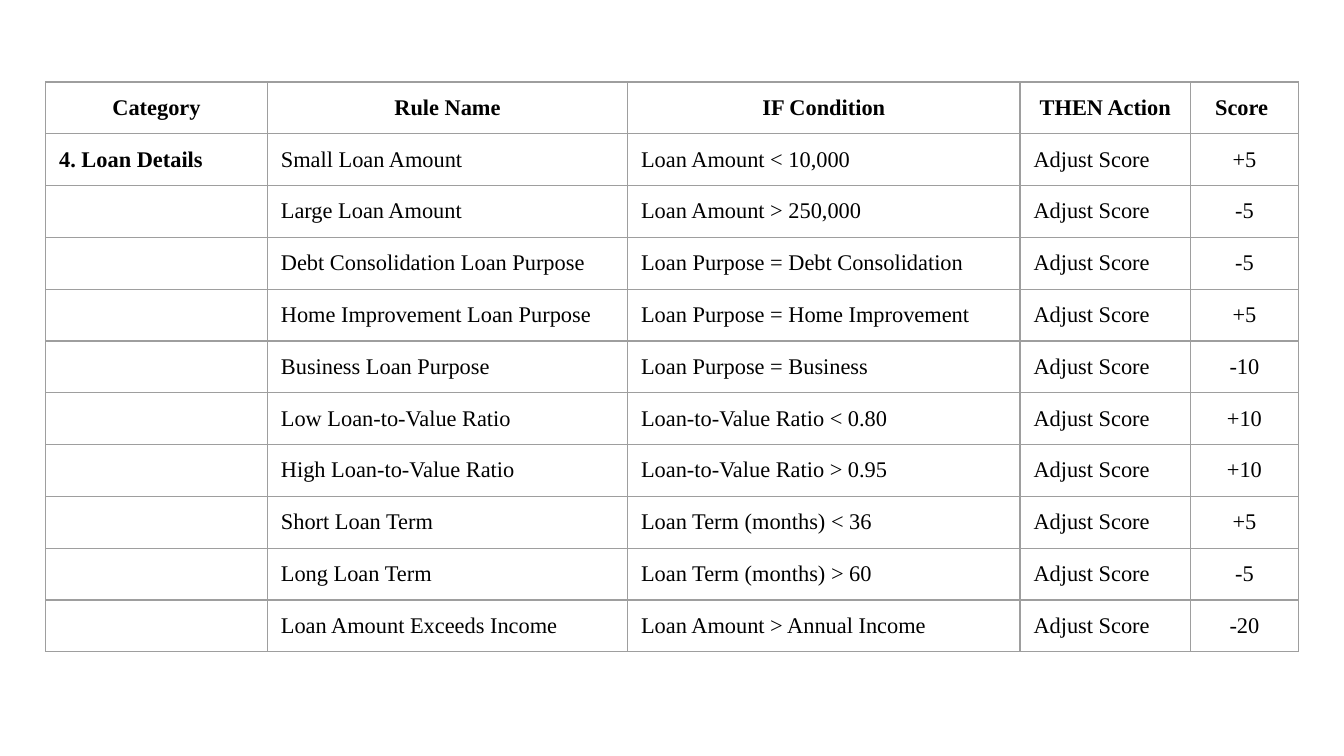
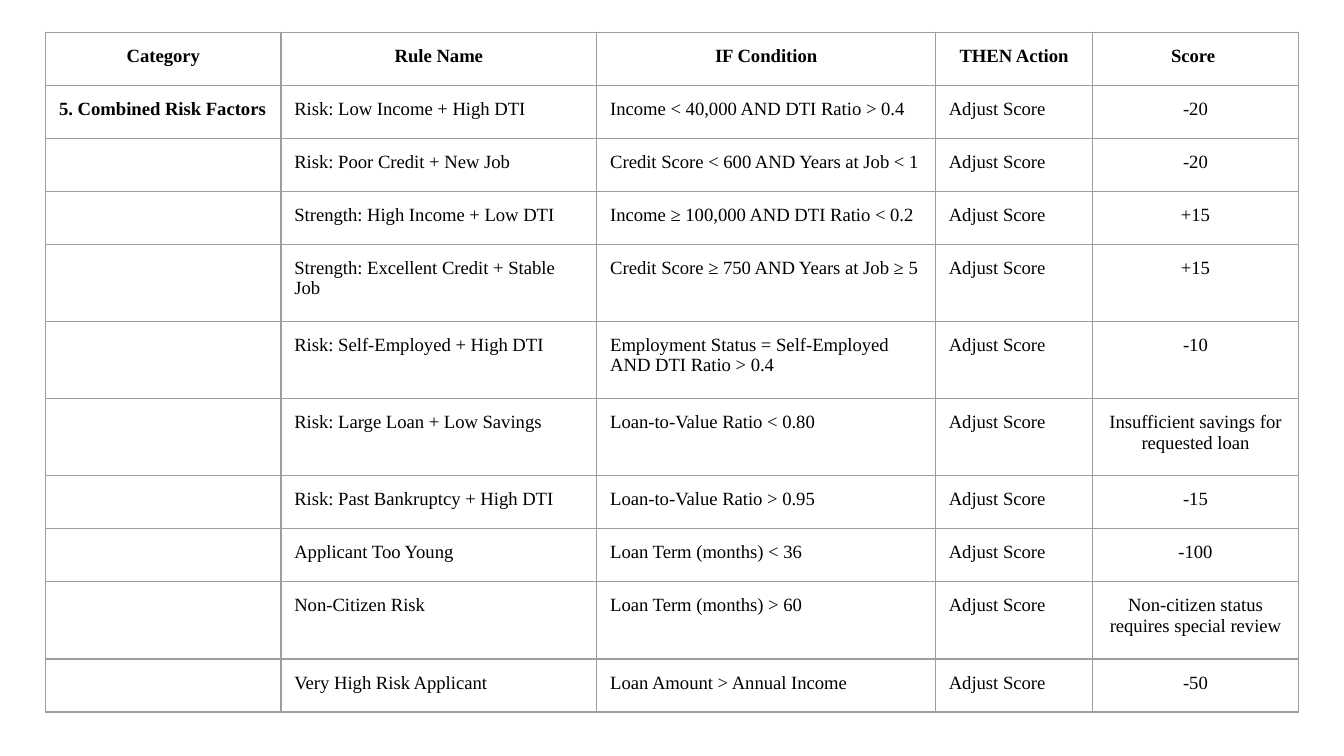
from lxml import etree
from pptx import Presentation
from pptx.dml.color import RGBColor
from pptx.enum.text import PP_ALIGN
from pptx.oxml.ns import qn
from pptx.util import Inches, Pt

LEFT, MID = PP_ALIGN.LEFT, PP_ALIGN.CENTER

# Content: rule name, condition, score
HEAD = ("Category", "Rule Name", "IF Condition", "THEN Action", "Score ")
ACTION = "Adjust Score"
LOAN = [
    ("Small Loan Amount", "Loan Amount < 10,000", "+5"),
    ("Large Loan Amount", "Loan Amount > 250,000", "-5"),
    ("Debt Consolidation Loan Purpose",
     "Loan Purpose = Debt Consolidation", "-5"),
    ("Home Improvement Loan Purpose",
     "Loan Purpose = Home Improvement", "+5"),
    ("Business Loan Purpose", "Loan Purpose = Business", "-10"),
    ("Low Loan-to-Value Ratio", "Loan-to-Value Ratio < 0.80", "+10"),
    ("High Loan-to-Value Ratio", "Loan-to-Value Ratio > 0.95", "+10"),
    ("Short Loan Term", "Loan Term (months) < 36", "+5"),
    ("Long Loan Term", "Loan Term (months) > 60", "-5"),
    ("Loan Amount Exceeds Income", "Loan Amount > Annual Income", "-20"),
]
RISK = [
    ("Risk: Low Income + High DTI",
     "Income < 40,000 AND DTI Ratio > 0.4", "-20"),
    ("Risk: Poor Credit + New Job",
     "Credit Score < 600 AND Years at Job < 1", "-20"),
    ("Strength: High Income + Low DTI",
     "Income ≥ 100,000 AND DTI Ratio < 0.2", "+15"),
    ("Strength: Excellent Credit + Stable Job",
     "Credit Score ≥ 750 AND Years at Job ≥ 5", "+15"),
    ("Risk: Self-Employed + High DTI",
     "Employment Status = Self-Employed AND DTI Ratio > 0.4", "-10"),
    ("Risk: Large Loan + Low Savings", "Loan-to-Value Ratio < 0.80",
     "Insufficient savings for requested loan"),
    ("Risk: Past Bankruptcy + High DTI", "Loan-to-Value Ratio > 0.95", "-15"),
    ("Applicant Too Young", "Loan Term (months) < 36", "-100"),
    ("Non-Citizen Risk", "Loan Term (months) > 60",
     "Non-citizen status requires special review"),
    ("Very High Risk Applicant", "Loan Amount > Annual Income", "-50"),
]

# One entry per slide; "row" is in points, "tall" lists the two-line rows
PAGES = [
    {"group": "4. Loan Details", "rules": LOAN, "top": 0.61, "size": 12,
     "cols": (1.65, 2.68, 2.92, 1.27, 0.8), "row": 27.7, "tall": ()},
    {"group": "5. Combined Risk Factors", "rules": RISK, "top": 0.24,
     "size": 10, "cols": (1.75, 2.35, 2.52, 1.17, 1.53), "row": 28.4,
     "tall": (4, 5, 6, 9)},
]

# Shared look; the slide is 16 by 9
WIDE = 10
HIGH = WIDE * 9 / 16
FACE, INK, RULE = "Times New Roman", "000000", "9E9E9E"
TALL, PAD, LINE = 41.4, 0.1, 0.75
SIDES = ("left", "right", "top", "bottom")


def color(code):
    return RGBColor.from_string(code)


def border(cell):
    props = cell._tc.get_or_add_tcPr()
    for side in SIDES:
        tag = "a:ln" + side[0].upper()
        line = etree.SubElement(props, qn(tag), w=str(Pt(LINE)))
        fill = etree.SubElement(line, qn("a:solidFill"))
        etree.SubElement(fill, qn("a:srgbClr"), val=RULE)


def write(cell, text, size, bold, align):
    para = cell.text_frame.paragraphs[0]
    para.alignment = align
    if not text:
        # Keeps an empty cell as low as its row
        end = etree.SubElement(para._p, qn("a:endParaRPr"),
                               sz=str(size * 100))
        etree.SubElement(end, qn("a:latin"), typeface=FACE)
        return
    run = para.add_run()
    run.text = text
    look = {"name": FACE, "size": Pt(size), "bold": bold}
    for key, value in look.items():
        setattr(run.font, key, value)
    run.font.color.rgb = color(INK)


def draw(slide, page):
    cols, size = page["cols"], page["size"]
    rows = [HEAD]
    for i, (name, test, score) in enumerate(page["rules"]):
        rows.append((page["group"] if i == 0 else "",
                     name, test, ACTION, score))
    highs = [Pt(TALL if r in page["tall"] else page["row"])
             for r in range(len(rows))]
    wide = sum(cols)
    table = slide.shapes.add_table(
        len(rows), len(cols), Inches((WIDE - wide) / 2),
        Inches(page["top"]), Inches(wide), sum(highs)).table
    table.first_row = table.horz_banding = False
    for col, width in zip(table.columns, cols):
        col.width = Inches(width)
    for r, texts in enumerate(rows):
        table.rows[r].height = highs[r]
        for c, text in enumerate(texts):
            cell = table.cell(r, c)
            for side in SIDES:
                setattr(cell, "margin_" + side, Inches(PAD))
            border(cell)
            cell.fill.background()
            align = MID if r == 0 or c == len(cols) - 1 else LEFT
            write(cell, text, size, r == 0 or c == 0, align)


def main():
    deck = Presentation()
    deck.slide_width, deck.slide_height = Inches(WIDE), Inches(HIGH)
    for page in PAGES:
        draw(deck.slides.add_slide(deck.slide_layouts[6]), page)
    deck.save("out.pptx")


if __name__ == "__main__":
    main()
